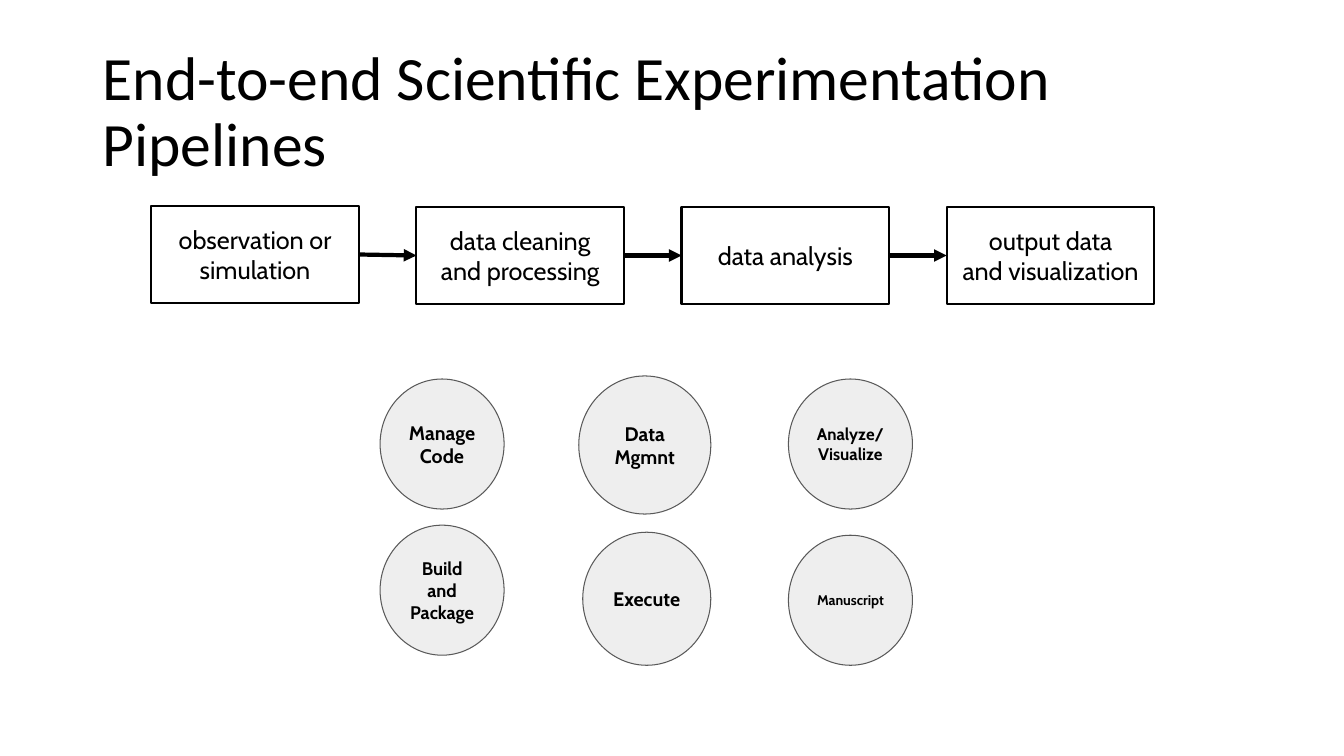
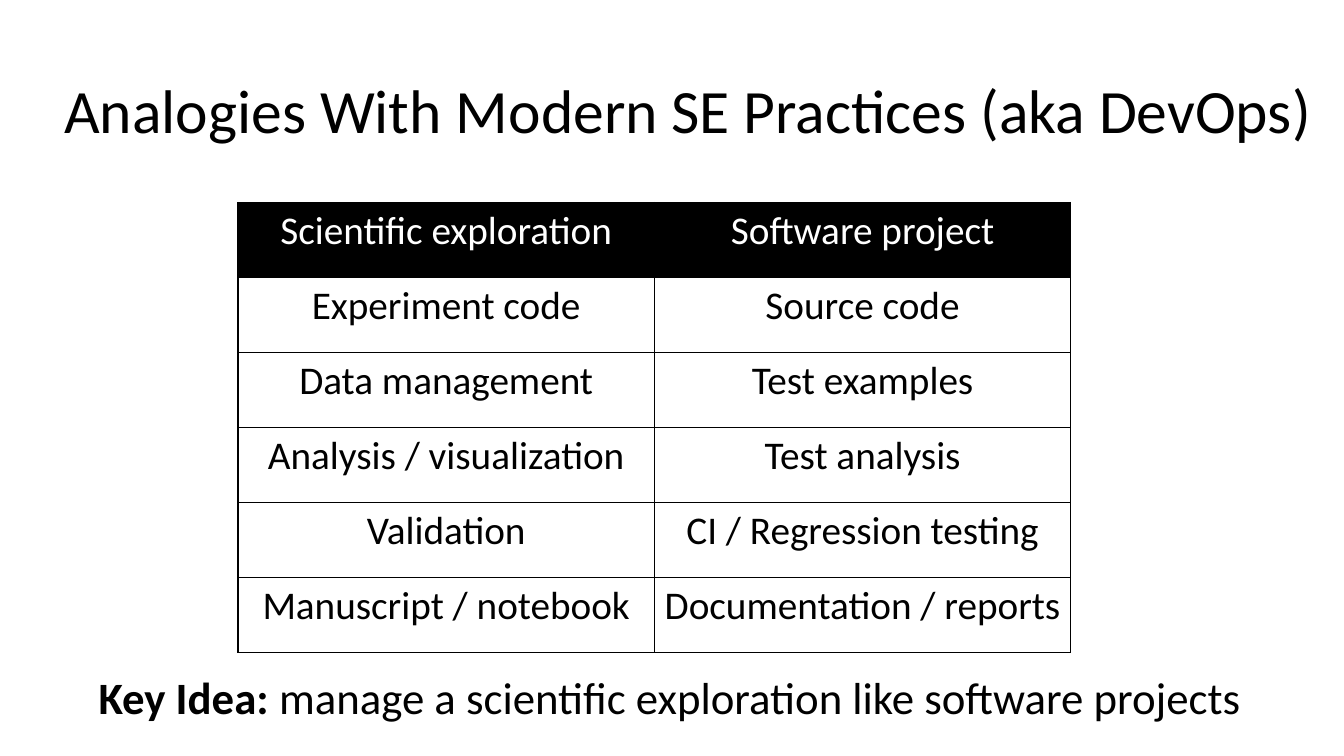
"""Build two slides on scientific pipelines and their software analogies."""
from itertools import pairwise

from lxml import etree
from pptx import Presentation
from pptx import util as u
from pptx.dml.color import RGBColor
from pptx.enum import shapes, text
from pptx.oxml import ns

PX = 9144
BLACK, WHITE, GREY, PALE = "000000", "FFFFFF", "595959", "EEEEEE"
BODY, LABEL = "Calibri", "Cabin"


def px(*lengths):
    """Turn px lengths into EMU."""
    return [u.Emu(n * PX) for n in lengths]


def rgb(value):
    """Turn a hex string into a colour."""
    return RGBColor.from_string(value)


def add_xml(parent, tag, **attrs):
    """Append a DrawingML element."""
    return etree.SubElement(parent, ns.qn(tag), attrs)


class Deck:
    """Holds the style and the current slide."""

    def __init__(self):
        """Start a widescreen presentation."""
        self.prs = Presentation()
        self.prs.slide_width, self.prs.slide_height = px(1333, 750)

    def slide(self, title, left, width):
        """Add a blank slide with its title."""
        self.s = self.prs.slides.add_slide(self.prs.slide_layouts[6])
        tf = self.textbox([(title, False)], left, 40, width, 145, 44, text.PP_ALIGN.LEFT)
        tf.paragraphs[0].line_spacing = 0.9

    def run(self, p, words, size, font, bold=False, color=BLACK):
        """Add one styled run to a paragraph."""
        r = p.add_run()
        r.text = words
        r.font.size, r.font.name, r.font.bold = u.Pt(size), font, bold
        r.font.color.rgb = rgb(color)

    def textbox(self, runs, left, top, width, height, size, align=text.PP_ALIGN.CENTER):
        """Add a text box with (words, bold) runs."""
        tf = self.s.shapes.add_textbox(*px(left, top, width, height)).text_frame
        tf.word_wrap = True
        tf.vertical_anchor = text.MSO_ANCHOR.MIDDLE
        p = tf.paragraphs[0]
        p.alignment = align
        for words, bold in runs:
            self.run(p, words, size, BODY, bold)
        return tf

    def shape(self, kind, lines, left, top, width, height, size, bold=False):
        """Add an outlined shape with centred lines of text."""
        sp = self.s.shapes.add_shape(kind, *px(left, top, width, height))
        sp.shadow.inherit = False
        tf = sp.text_frame
        tf.word_wrap = True
        tf.vertical_anchor = text.MSO_ANCHOR.MIDDLE
        for i, words in enumerate(lines):
            p = tf.add_paragraph() if i else tf.paragraphs[0]
            p.alignment = text.PP_ALIGN.CENTER
            self.run(p, words, size, LABEL, bold)
        return sp

    def step(self, lines, left, top):
        """Add a pipeline step."""
        sp = self.shape(shapes.MSO_SHAPE.RECTANGLE, lines, left, top, 206, 97, 18)
        sp.fill.background()
        sp.line.color.rgb, sp.line.width = rgb(BLACK), u.Pt(1.5)
        return sp

    def circle(self, lines, left, top, width, height, size):
        """Add a pale activity circle."""
        sp = self.shape(shapes.MSO_SHAPE.OVAL, lines, left, top, width, height, size, True)
        sp.fill.solid()
        sp.fill.fore_color.rgb = rgb(PALE)
        sp.line.color.rgb, sp.line.width = rgb(GREY), u.Pt(0.75)
        tf = sp.text_frame
        tf.margin_left, tf.margin_top, tf.margin_right, tf.margin_bottom = px(10, 10, 10, 10)

    def arrow(self, start, end):
        """Join the right side of one shape to the left side of the next."""
        c = self.s.shapes.add_connector(shapes.MSO_CONNECTOR.STRAIGHT, 0, 0, 0, 0)
        c.begin_connect(start, 3)
        c.end_connect(end, 1)
        c.line.color.rgb, c.line.width = rgb(BLACK), u.Pt(3)
        add_xml(c.line._get_or_add_ln(), "a:tailEnd", type="triangle")
        add_xml(c._element.spPr, "a:effectLst")

    def table(self, rows, left, top, width, height):
        """Add a bordered table with a black header row."""
        frame = self.s.shapes.add_table(len(rows), len(rows[0]), *px(left, top, width, height))
        frame.table.horz_banding = False
        for i, row in enumerate(rows):
            for j, words in enumerate(row):
                self.cell(frame.table.cell(i, j), words, header=i == 0)

    def cell(self, cell, words, header):
        """Fill, border and label one table cell."""
        tc_pr = cell._tc.get_or_add_tcPr()
        for side in "LRTB":
            ln = add_xml(tc_pr, f"a:ln{side}", w=str(u.Pt(1)))
            add_xml(add_xml(ln, "a:solidFill"), "a:srgbClr", val=BLACK)
        if header:
            cell.fill.solid()
            cell.fill.fore_color.rgb = rgb(BLACK)
        else:
            cell.fill.background()
        p = cell.text_frame.paragraphs[0]
        p.alignment = text.PP_ALIGN.CENTER
        self.run(p, words, 28, BODY, color=WHITE if header else BLACK)


STEPS = [
    (["observation or simulation"], 204),
    (["data cleaning", "and processing"], 205),
    (["data analysis"], 205),
    (["output data", "and visualization"], 205),
]

CIRCLES = [
    (["Manage Code"], 377, 376, 123, 129, 14),
    (["Build and Package"], 377, 521, 123, 129, 13),
    (["Execute"], 578, 528, 127, 132, 14),
    (["Data Mgmnt"], 574, 373, 131, 137, 14),
    (["Analyze/", "Visualize"], 782, 376, 123, 129, 12),
    (["Manuscript"], 782, 531, 123, 129, 10),
]

ANALOGIES = [
    ("Scientific exploration", "Software project"),
    ("Experiment code", "Source code"),
    ("Data management", "Test examples"),
    ("Analysis / visualization", "Test analysis"),
    ("Validation", "CI / Regression testing"),
    ("Manuscript / notebook", "Documentation / reports"),
]


def main():
    """Build and save both slides."""
    deck = Deck()

    deck.slide("End-to-end Scientific Experimentation Pipelines", 92, 1171)
    steps = [deck.step(lines, 150 + 263 * i, top) for i, (lines, top) in enumerate(STEPS)]
    for start, end in pairwise(steps):
        deck.arrow(start, end)
    for circle in CIRCLES:
        deck.circle(*circle)

    deck.slide("Analogies With Modern SE Practices (aka DevOps)", 54, 1261)
    deck.table(ANALOGIES, 236, 201, 826, 446)
    key_idea = [
        ("Key Idea: ", True),
        ("manage a scientific exploration like software projects", False),
    ]
    deck.textbox(key_idea, 30, 629, 1269, 125, 32)

    deck.prs.save("out.pptx")


if __name__ == "__main__":
    main()
